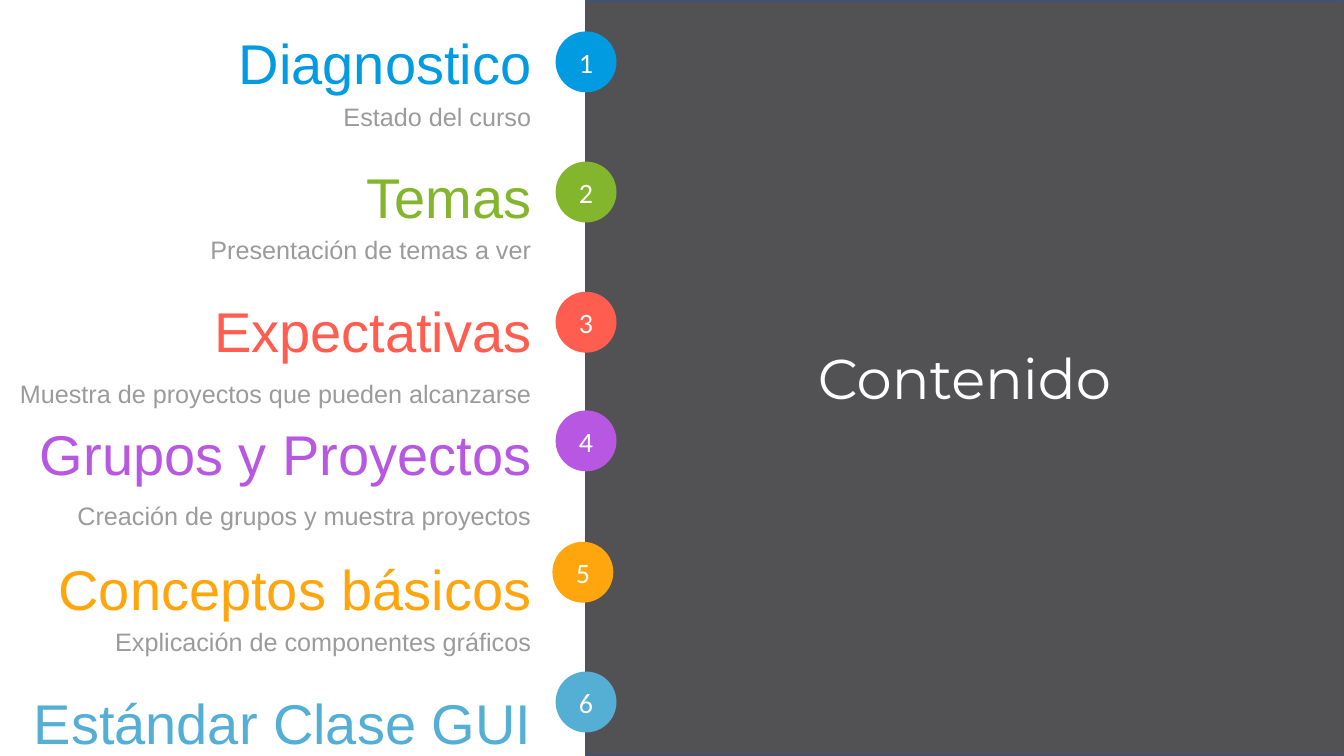
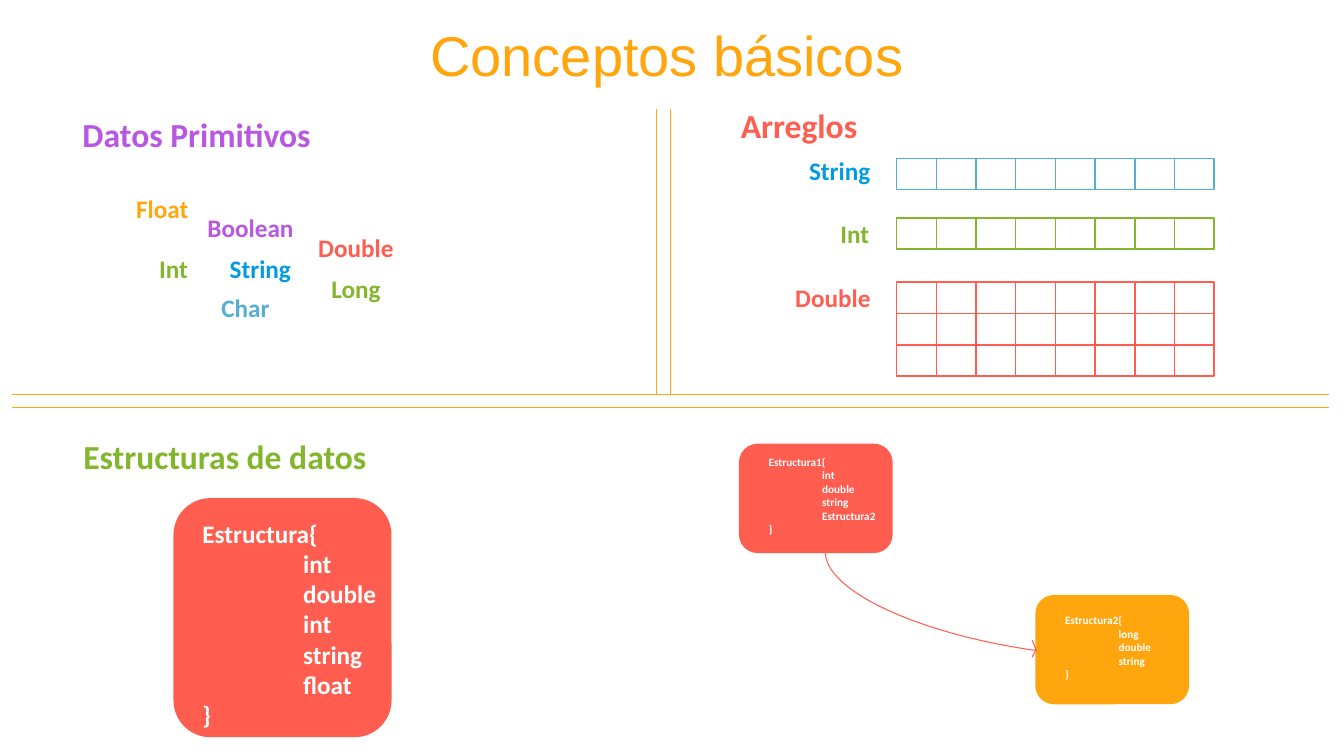
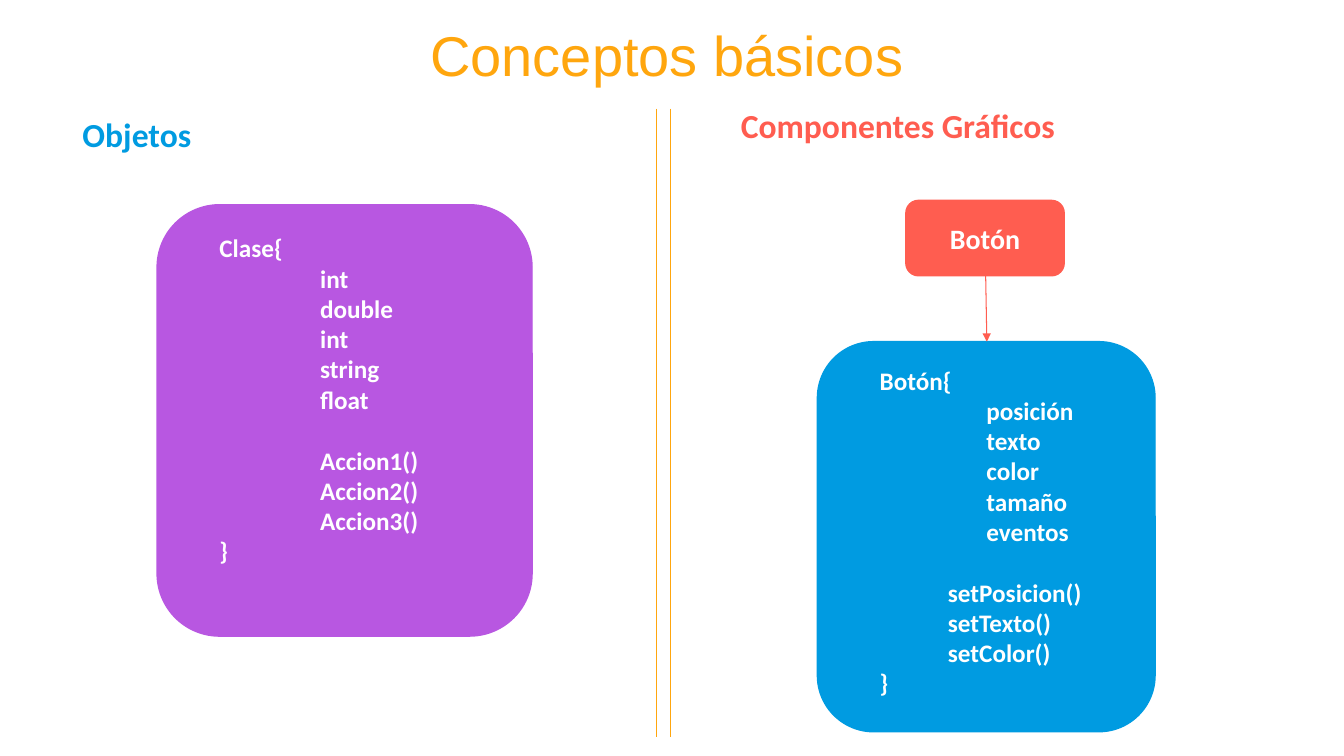
from dataclasses import dataclass

from lxml import etree
from pptx import Presentation
from pptx.dml.color import RGBColor
from pptx.enum import shapes as kinds
from pptx.enum import text as text_options
from pptx.oxml import ns
from pptx.util import Cm, Length, Pt

BLUE = RGBColor(0x00, 0x9B, 0xE1)
GREEN = RGBColor(0x83, 0xB6, 0x2D)
RED = RGBColor(0xFF, 0x5D, 0x50)
PURPLE = RGBColor(0xB8, 0x57, 0xE1)
ORANGE = RGBColor(0xFF, 0xA6, 0x0E)
SKY = RGBColor(0x55, 0xAF, 0xD4)
GRAY = RGBColor(0x9B, 0x9B, 0x9B)
CHARCOAL = RGBColor(0x52, 0x52, 0x54)
NAVY = RGBColor(0x31, 0x53, 0x8F)
WHITE = RGBColor(0xFF, 0xFF, 0xFF)

SLIDE_WIDTH, SLIDE_HEIGHT = 33.87, 19.05
CONTENT_LAYOUT, TITLE_LAYOUT = 1, 5
ARIAL_LINE = 1.15
HEADING_SIZE, SUMMARY_SIZE = 40, 18
BADGE_SIZE = 1.5
DIVIDER_XS = (16.54, 16.89)
DIVIDER_TOP = 2.74
CELL_COUNT, CELL_WIDTH, CELL_HEIGHT = 8, 1.0, 0.79
ARRAY_LEFT = 22.6

Align = text_options.PP_ALIGN
Shape = kinds.MSO_SHAPE


@dataclass(frozen=True)
class Topic:
    heading: str
    color: RGBColor
    top: float
    summary: str = ""
    summary_top: float = 0
    badge_left: float = 14.02


@dataclass(frozen=True)
class Label:
    text: str
    color: RGBColor
    left: float
    top: float
    width: float
    size: int = 18


@dataclass(frozen=True)
class Array:
    color: RGBColor
    top: float
    rows: int = 1


@dataclass(frozen=True)
class CodeCard:
    name: str
    fields: tuple[str, ...]
    color: RGBColor
    box: tuple[float, float, float, float]
    text_offset: tuple[float, float]
    text_width: float
    size: int = 18
    field_indent: float = 2.54
    methods: tuple[str, ...] = ()
    method_indent: float = 2.54


TOPICS = (
    Topic("Diagnostico", BLUE, 0.58, "Estado del curso", 2.36),
    Topic("Temas", GREEN, 3.86, "Presentación de temas a ver", 5.61),
    Topic("Expectativas", RED, 7.14, "Muestra de proyectos que pueden alcanzarse", 9.12),
    Topic("Grupos y Proyectos", PURPLE, 10.13, "Creación de grupos y muestra proyectos", 12.09),
    Topic("Conceptos básicos", ORANGE, 13.44, "Explicación de componentes gráficos", 15.16, 13.94),
    Topic("Estándar Clase GUI", SKY, 16.71),
)

DATA_LABELS = (
    Label("Datos Primitivos", PURPLE, 1.83, 2.74, 6.5, 24),
    Label("Arreglos", RED, 18.42, 2.51, 3.6, 24),
    Label("Estructuras de datos", GREEN, 1.85, 10.87, 7.9, 24),
    Label("Int", GREEN, 3.76, 6.25, 1.4),
    Label("Boolean", PURPLE, 4.98, 5.23, 2.8),
    Label("String", BLUE, 5.54, 6.25, 2.2),
    Label("Char", SKY, 5.33, 7.24, 1.9),
    Label("Double", RED, 7.77, 5.74, 2.5),
    Label("Float", ORANGE, 3.18, 4.75, 2.0),
    Label("Long", GREEN, 8.1, 6.76, 1.9),
    Label("String", BLUE, 20.14, 3.78, 2.2),
    Label("Int", GREEN, 20.93, 5.38, 1.4),
    Label("Double", RED, 19.79, 6.99, 2.5),
)

OBJECT_LABELS = (
    Label("Objetos", BLUE, 1.83, 2.74, 3.4, 24),
    Label("Componentes Gráficos", RED, 18.42, 2.51, 8.7, 24),
)

ARRAYS = (Array(SKY, 3.99), Array(GREEN, 5.49), Array(RED, 7.11, 3))

STRUCTURES = (
    CodeCard("Estructura", ("int", "double", "int", "string", "float"), RED,
             (4.39, 12.57, 5.46, 5.99), (0.46, 0.36), 5.36),
    CodeCard("Estructura1", ("int", "double", "string", "Estructura2"), RED,
             (18.64, 11.2, 3.84, 2.72), (0.48, 0.15), 4.5, 8, 1.35),
    CodeCard("Estructura2", ("long", "double", "string"), ORANGE,
             (26.11, 15.01, 3.84, 2.72), (0.48, 0.33), 4.5, 8, 1.35),
)

CLASSES = (
    CodeCard("Clase", ("int", "double", "int", "string", "float"), PURPLE,
             (3.96, 5.16, 9.45, 10.87), (1.32, 0.58), 6.88,
             methods=("Accion1()", "Accion2()", "Accion3()")),
    CodeCard("Botón", ("posición", "texto", "color", "tamaño", "eventos"), BLUE,
             (20.6, 8.61, 8.51, 9.83), (1.32, 0.46), 6.2, field_indent=2.69,
             methods=("setPosicion()", "setTexto()", "setColor()"), method_indent=1.72),
)


def place(shape, left: float, top: float, width: float, height: float) -> None:
    shape.left, shape.top = Cm(left), Cm(top)
    shape.width, shape.height = Cm(width), Cm(height)


def format_paragraph(paragraph, size: int, color: RGBColor, font: str = "Calibri",
                     bold: bool = False, align=Align.LEFT) -> None:
    paragraph.alignment = align
    for run in paragraph.runs:
        run.font.size = Pt(size)
        run.font.name = font
        run.font.bold = bold
        run.font.color.rgb = color


def prepare_frame(text_frame, anchor=text_options.MSO_ANCHOR.TOP) -> None:
    text_frame.word_wrap = True
    text_frame.auto_size = text_options.MSO_AUTO_SIZE.NONE
    text_frame.vertical_anchor = anchor


def set_indent(paragraph, indent: Length) -> None:
    properties = paragraph._p.get_or_add_pPr()
    properties.set("marL", str(indent))
    properties.set("indent", "0")


def set_title(slide, title: str, color: RGBColor, font: str,
              box: tuple[float, float, float, float]) -> None:
    shape = slide.shapes.title
    place(shape, *box)
    shape.text_frame.text = title
    prepare_frame(shape.text_frame)
    format_paragraph(shape.text_frame.paragraphs[0], HEADING_SIZE, color, font,
                     align=Align.CENTER)


def add_filled_shape(slide, kind, box: tuple[float, float, float, float],
                     fill: RGBColor, line: RGBColor):
    shape = slide.shapes.add_shape(kind, *map(Cm, box))
    shape.shadow.inherit = False
    shape.fill.solid()
    shape.fill.fore_color.rgb = fill
    shape.line.color.rgb = line
    shape.line.width = Pt(1)
    return shape


def label_shape(shape, label: str, bold: bool = False) -> None:
    """Centre a white caption inside a shape."""
    shape.text_frame.text = label
    prepare_frame(shape.text_frame, text_options.MSO_ANCHOR.MIDDLE)
    format_paragraph(shape.text_frame.paragraphs[0], 20, WHITE, bold=bold,
                     align=Align.CENTER)


def add_line(slide, start: tuple[float, float], end: tuple[float, float],
             color: RGBColor, arrow: bool = False) -> None:
    connector = slide.shapes.add_connector(
        kinds.MSO_CONNECTOR.STRAIGHT, *map(Cm, start + end))
    connector.line.color.rgb = color
    connector.line.width = Pt(0.75)
    if arrow:
        etree.SubElement(connector.line._get_or_add_ln(), ns.qn("a:tailEnd"), type="triangle")
    etree.SubElement(connector.element.spPr, ns.qn("a:effectLst"))


def add_label(slide, label: Label) -> None:
    height = 1.27 if label.size > 18 else 1.02
    box = slide.shapes.add_textbox(*map(Cm, (label.left, label.top, label.width, height)))
    box.text_frame.text = label.text
    prepare_frame(box.text_frame)
    format_paragraph(box.text_frame.paragraphs[0], label.size, label.color, bold=True)


def add_array(slide, array: Array) -> None:
    for row in range(array.rows):
        for column in range(CELL_COUNT):
            cell = (ARRAY_LEFT + column * CELL_WIDTH, array.top + row * CELL_HEIGHT,
                    CELL_WIDTH, CELL_HEIGHT)
            add_filled_shape(slide, Shape.RECTANGLE, cell, WHITE, array.color)


def add_code_card(slide, card: CodeCard) -> None:
    """Draw a rounded card with a brace-delimited declaration on it."""
    add_filled_shape(slide, Shape.ROUNDED_RECTANGLE, card.box, card.color, card.color)
    left, top, _, height = card.box
    dx, dy = card.text_offset
    box = slide.shapes.add_textbox(Cm(left + dx), Cm(top + dy),
                                   Cm(card.text_width), Cm(height - dy))
    prepare_frame(box.text_frame)
    box.text_frame.text = "\n".join((card.name + "{", *card.fields, *card.methods, "}"))
    paragraphs = box.text_frame.paragraphs
    first_method = 1 + len(card.fields)
    for paragraph in paragraphs:
        format_paragraph(paragraph, card.size, WHITE, bold=True)
    for paragraph in paragraphs[1:first_method]:
        set_indent(paragraph, Cm(card.field_indent))
    for paragraph in paragraphs[first_method:-1]:
        set_indent(paragraph, Cm(card.method_indent))
    if card.methods:
        paragraphs[first_method].space_before = Pt(card.size * 1.22)


def fill_topic_list(body) -> None:
    """Write the topics as one list, spaced so that each line starts at its top."""
    lines = []
    for topic in TOPICS:
        lines.append((topic.heading, topic.top, HEADING_SIZE, topic.color))
        if topic.summary:
            lines.append((topic.summary, topic.summary_top, SUMMARY_SIZE, GRAY))
    first_top = lines[0][1]
    place(body, 0, first_top, 13.64, SLIDE_HEIGHT - first_top)
    prepare_frame(body.text_frame)
    body.text_frame.text = "\n".join(line[0] for line in lines)
    line_end = Cm(first_top)
    for paragraph, (_, top, size, color) in zip(body.text_frame.paragraphs, lines):
        format_paragraph(paragraph, size, color, "Arial", align=Align.RIGHT)
        set_indent(paragraph, Cm(0))
        paragraph.line_spacing = 1.0
        paragraph.space_before = Pt(round((Cm(top) - line_end) / Pt(1), 1))
        etree.SubElement(paragraph._p.get_or_add_pPr(), ns.qn("a:buNone"))
        line_end = Cm(top) + Pt(size * ARIAL_LINE)


def add_concept_slide(presentation, divider_bottom: float, labels: tuple[Label, ...],
                      cards: tuple[CodeCard, ...]):
    slide = presentation.slides.add_slide(presentation.slide_layouts[TITLE_LAYOUT])
    set_title(slide, "Conceptos básicos", ORANGE, "Arial", (10.3, 0.38, 13, 1.96))
    for x in DIVIDER_XS:
        add_line(slide, (x, DIVIDER_TOP), (x, divider_bottom), ORANGE)
    for label in labels:
        add_label(slide, label)
    for card in cards:
        add_code_card(slide, card)
    return slide


def build_contents(presentation) -> None:
    slide = presentation.slides.add_slide(presentation.slide_layouts[CONTENT_LAYOUT])
    panel = add_filled_shape(slide, Shape.RECTANGLE, (14.76, 0, 19.11, SLIDE_HEIGHT),
                             CHARCOAL, NAVY)
    slide.shapes.title.element.addprevious(panel.element)
    set_title(slide, "Contenido", WHITE, "Montserrat", (19.02, 8.53, 10.57, 1.96))
    fill_topic_list(slide.placeholders[1])
    for number, topic in enumerate(TOPICS, start=1):
        badge = add_filled_shape(
            slide, Shape.OVAL, (topic.badge_left, topic.top + 0.23, BADGE_SIZE, BADGE_SIZE),
            topic.color, topic.color)
        label_shape(badge, str(number))


def build_data_types(presentation) -> None:
    slide = add_concept_slide(presentation, 9.93, DATA_LABELS, STRUCTURES)
    for y in (9.93, 10.26):
        add_line(slide, (0.3, y), (33.5, y), ORANGE)
    for array in ARRAYS:
        add_array(slide, array)
    link = slide.shapes.add_shape(Shape.ARC, *map(Cm, (20.75, 12.83, 11.23, 3.58)))
    link.shadow.inherit = False
    link.adjustments[0] = 162
    link.adjustments[1] = 0
    link.rotation = 188
    link.fill.background()
    link.line.color.rgb = RED
    link.line.width = Pt(0.75)
    for barb_y in (16.13, 16.56):
        add_line(slide, (26.01, barb_y), (26.11, 16.38), RED)


def build_objects(presentation) -> None:
    slide = add_concept_slide(presentation, 18.57, OBJECT_LABELS, CLASSES)
    button = add_filled_shape(slide, Shape.ROUNDED_RECTANGLE, (22.83, 5.05, 3.99, 1.9),
                              RED, RED)
    label_shape(button, "Botón", bold=True)
    add_line(slide, (24.84, 6.96), (24.87, 8.61), RED, arrow=True)


def main() -> None:
    presentation = Presentation()
    presentation.slide_width = Cm(SLIDE_WIDTH)
    presentation.slide_height = Cm(SLIDE_HEIGHT)
    build_contents(presentation)
    build_data_types(presentation)
    build_objects(presentation)
    presentation.save("out.pptx")


if __name__ == "__main__":
    main()
